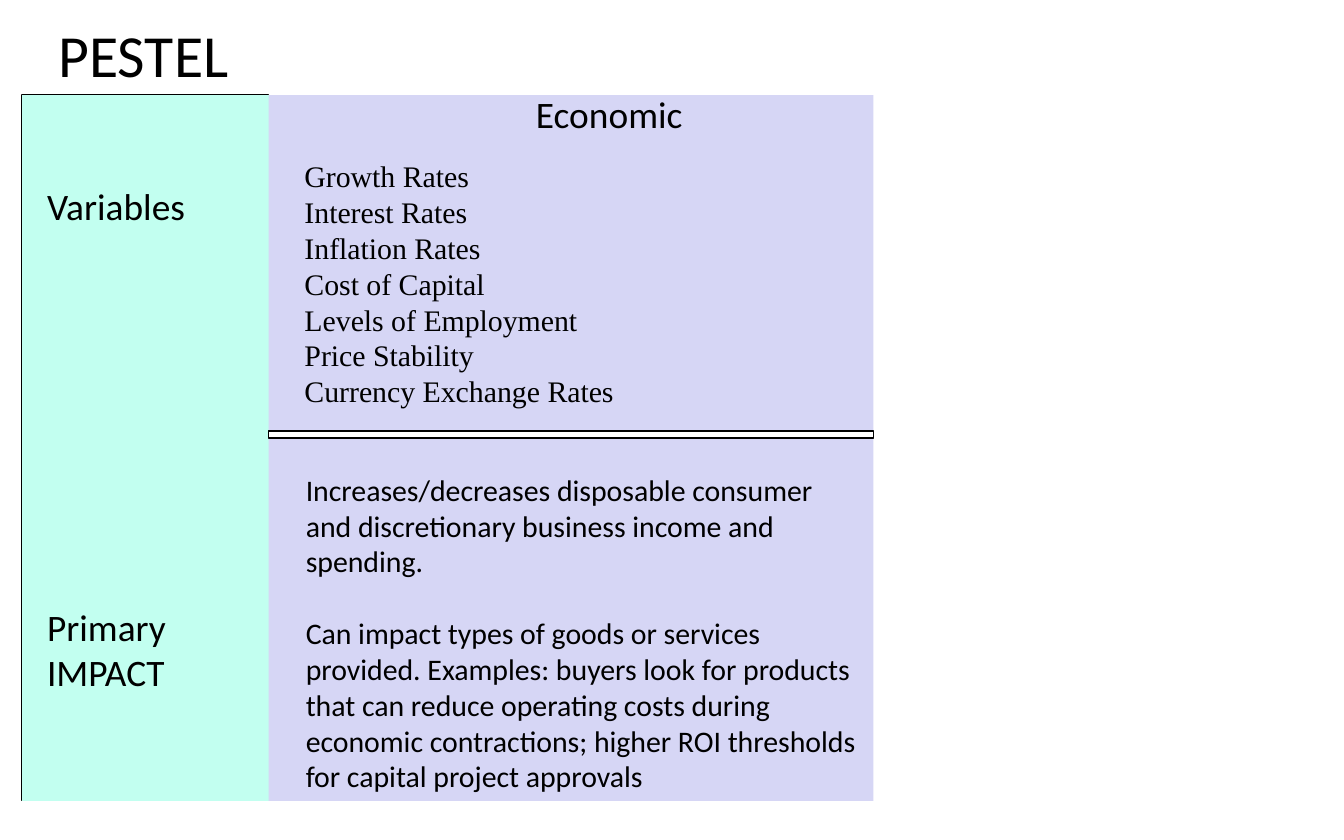
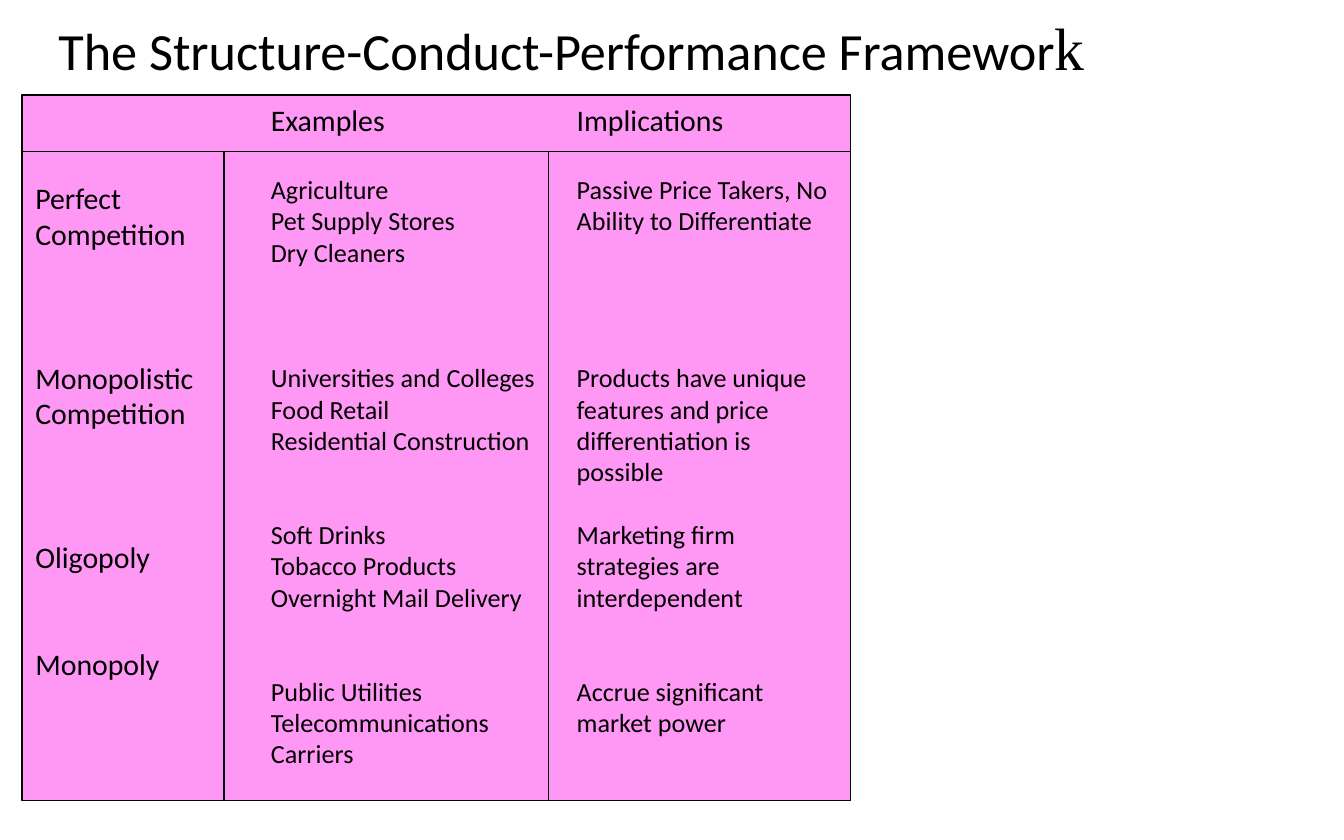
from dataclasses import dataclass
from typing import NamedTuple, Optional, Sequence

import pptx
import pptx.dml.color
import pptx.enum.shapes
import pptx.enum.text
import pptx.oxml.ns
import pptx.slide
import pptx.util
from lxml import etree
from pptx.util import Cm


@dataclass(frozen=True)
class Theme:
    ink: str = "000000"
    paper: str = "FFFFFF"
    lilac: str = "D6D6F5"
    mint: str = "C2FFF0"
    pink: str = "FF98F4"
    sans: str = "Calibri"
    serif: str = "Times New Roman"
    title: int = 32
    long_title: int = 28
    heading: int = 20
    body: int = 16
    detail: int = 14
    rule: float = 0.75
    line_height: float = 1.2


THEME = Theme()


class Area(NamedTuple):
    left: float
    top: float
    width: float
    height: float

    def lengths(self) -> tuple:
        return tuple(Cm(value) for value in self)


@dataclass(frozen=True)
class Panel:
    area: Area
    fill: str
    outlined: bool = False


@dataclass(frozen=True)
class Entry:
    text: str
    size: int = THEME.body
    space_before: float = 0
    font: str = THEME.sans


@dataclass(frozen=True)
class Column:
    area: Area
    entries: Sequence[Entry]


class Rule(NamedTuple):
    x1: float
    y1: float
    x2: float
    y2: float


LEFT, TOP, HEIGHT = 0.42, 1.8, 13.34
BOTTOM = TOP + HEIGHT


def lines(count: int, size: int) -> float:
    return count * size * THEME.line_height


def group(texts: Sequence[str], gap_lines: int, gap_size: int = THEME.detail) -> list[Entry]:
    first, *rest = texts
    return [Entry(first, THEME.detail, lines(gap_lines, gap_size)),
            *(Entry(text, THEME.detail) for text in rest)]


def rgb(value: str) -> pptx.dml.color.RGBColor:
    return pptx.dml.color.RGBColor.from_string(value)


def style_run(run, size: int, font: str) -> None:
    run.font.size = pptx.util.Pt(size)
    run.font.name = font
    run.font.color.rgb = rgb(THEME.ink)


def place(shape, area: Area) -> None:
    shape.left, shape.top, shape.width, shape.height = area.lengths()


def write_entries(frame, entries: Sequence[Entry]) -> None:
    frame.word_wrap = True
    frame.auto_size = pptx.enum.text.MSO_AUTO_SIZE.NONE
    frame.vertical_anchor = pptx.enum.text.MSO_ANCHOR.TOP
    for index, entry in enumerate(entries):
        paragraph = frame.add_paragraph() if index else frame.paragraphs[0]
        paragraph.text = entry.text
        paragraph.alignment = pptx.enum.text.PP_ALIGN.LEFT
        paragraph.space_before = pptx.util.Pt(entry.space_before)
        style_run(paragraph.runs[0], entry.size, entry.font)


def draw_title(slide: pptx.slide.Slide, text: str, size: int, area: Area) -> None:
    title = slide.shapes.title
    place(title, area)
    frame = title.text_frame
    frame.text = text
    frame.auto_size = pptx.enum.text.MSO_AUTO_SIZE.NONE
    frame.vertical_anchor = pptx.enum.text.MSO_ANCHOR.MIDDLE
    frame.paragraphs[0].alignment = pptx.enum.text.PP_ALIGN.LEFT
    style_run(frame.paragraphs[0].runs[0], size, THEME.sans)


def draw_panel(slide: pptx.slide.Slide, panel: Panel) -> None:
    shape = slide.shapes.add_shape(
        pptx.enum.shapes.MSO_SHAPE.RECTANGLE, *panel.area.lengths())
    shape.shadow.inherit = False
    shape.fill.solid()
    shape.fill.fore_color.rgb = rgb(panel.fill)
    if panel.outlined:
        shape.line.color.rgb = rgb(THEME.ink)
        shape.line.width = pptx.util.Pt(THEME.rule)
    else:
        shape.line.fill.background()


def draw_column(slide: pptx.slide.Slide, column: Column) -> None:
    box = slide.shapes.add_textbox(*column.area.lengths())
    write_entries(box.text_frame, column.entries)


def fill_body(slide: pptx.slide.Slide, column: Column) -> None:
    body = slide.placeholders[1]
    place(body, column.area)
    for _ in column.entries[1:]:
        body.text_frame.add_paragraph()
    body.text_frame.clear()
    write_entries(body.text_frame, column.entries)
    for paragraph in body.text_frame.paragraphs:
        properties = paragraph._p.get_or_add_pPr()
        properties.set("marL", "0")
        properties.set("indent", "0")
        etree.SubElement(properties, pptx.oxml.ns.qn("a:buNone"))
    body._element.getparent().append(body._element)


def draw_rule(slide: pptx.slide.Slide, rule: Rule) -> None:
    connector = slide.shapes.add_connector(
        pptx.enum.shapes.MSO_CONNECTOR.STRAIGHT, *(Cm(value) for value in rule))
    connector.line.color.rgb = rgb(THEME.ink)
    connector.line.width = pptx.util.Pt(THEME.rule)
    etree.SubElement(connector._element.spPr, pptx.oxml.ns.qn("a:effectLst"))


def build_slide(deck, layout: int, panels: Sequence[Panel], columns: Sequence[Column],
                rules: Sequence[Rule] = (), body: Optional[Column] = None) -> pptx.slide.Slide:
    slide = deck.slides.add_slide(deck.slide_layouts[layout])
    for panel in panels:
        draw_panel(slide, panel)
    if body:
        fill_body(slide, body)
    for column in columns:
        draw_column(slide, column)
    for rule in rules:
        draw_rule(slide, rule)
    return slide


def build_pestel(deck) -> None:
    label_width, full_width = 4.66, 16.09
    label_area = Area(LEFT, TOP, label_width, HEIGHT)
    panels = [
        Panel(label_area, THEME.paper, outlined=True),
        Panel(Area(LEFT, TOP, full_width, HEIGHT), THEME.lilac),
        Panel(label_area, THEME.mint),
        Panel(Area(LEFT + label_width, 8.15, full_width - label_width, 0.13),
              THEME.paper, outlined=True),
    ]
    variables = Column(Area(5.5, 2.86, 19.9, 5), [
        Entry(text, font=THEME.serif) for text in (
            "Growth Rates", "Interest Rates", "Inflation Rates", "Cost of Capital",
            "Levels of Employment", "Price Stability", "Currency Exchange Rates")])
    heading = Column(Area(9.88, 1.6, 3.45, 2.64), [Entry("Economic", THEME.heading)])
    labels = Column(Area(0.64, 3.34, 3.6, 9.93), [
        Entry("Variables", THEME.heading),
        Entry("Primary", THEME.heading, lines(7, 24)),
        Entry("IMPACT", THEME.heading)])
    impact = Column(Area(5.53, 8.79, 11, 7.04), [
        Entry("Increases/decreases disposable consumer and discretionary business "
              "income and spending."),
        Entry("Can impact types of goods or services provided. Examples: buyers look for "
              "products that can reduce operating costs during economic contractions; "
              "higher ROI thresholds for capital project approvals",
              space_before=lines(1, THEME.body))])
    slide = build_slide(deck, 1, panels, [heading, labels, impact], body=variables)
    draw_title(slide, "PESTEL", THEME.title, Area(0.85, 0.3, 16.51, 1.42))


def build_framework(deck) -> None:
    width, header_bottom = 15.66, 2.86
    structures = Column(Area(LEFT, 3.28, 4.45, 9.73), [
        Entry("Perfect Competition"),
        *(Entry(text, space_before=lines(gap, THEME.body)) for text, gap in (
            ("Monopolistic Competition", 3), ("Oligopoly", 3), ("Monopoly", 2)))])
    examples = Column(Area(4.87, TOP, 5.93, HEIGHT), [
        Entry("Examples"),
        *group(["Agriculture", "Pet Supply Stores", "Dry Cleaners"], 1, THEME.body),
        *group(["Universities and Colleges", "Food Retail", "Residential Construction"], 3),
        *group(["Soft Drinks", "Tobacco Products", "Overnight Mail Delivery"], 2),
        *group(["Public Utilities", "Telecommunications Carriers"], 2)])
    implications = Column(Area(10.65, TOP, 5.5, 12.3), [
        Entry("Implications"),
        *group(["Passive Price Takers, No Ability to Differentiate"], 1, THEME.body),
        *group(["Products have unique features and price differentiation is possible"], 4),
        *group(["Marketing firm strategies are interdependent"], 1),
        *group(["Accrue significant market power"], 2)])
    rules = [Rule(LEFT, header_bottom, LEFT + width, header_bottom),
             *(Rule(x, header_bottom, x, BOTTOM) for x in (4.23, 10.37))]
    slide = build_slide(
        deck, 5, [Panel(Area(LEFT, TOP, width, HEIGHT), THEME.pink, outlined=True)],
        [structures, examples, implications], rules)
    draw_title(slide, "The Structure-Conduct-Performance Framewor", THEME.long_title,
               Area(0.85, 0.18, 22.86, 1.42))
    last_letter = slide.shapes.title.text_frame.paragraphs[0].add_run()
    last_letter.text = "k"
    style_run(last_letter, THEME.title, THEME.serif)


def main() -> None:
    deck = pptx.Presentation()
    deck.slide_width, deck.slide_height = Cm(25.4), Cm(15.88)
    build_pestel(deck)
    build_framework(deck)
    deck.save("out.pptx")


if __name__ == "__main__":
    main()
